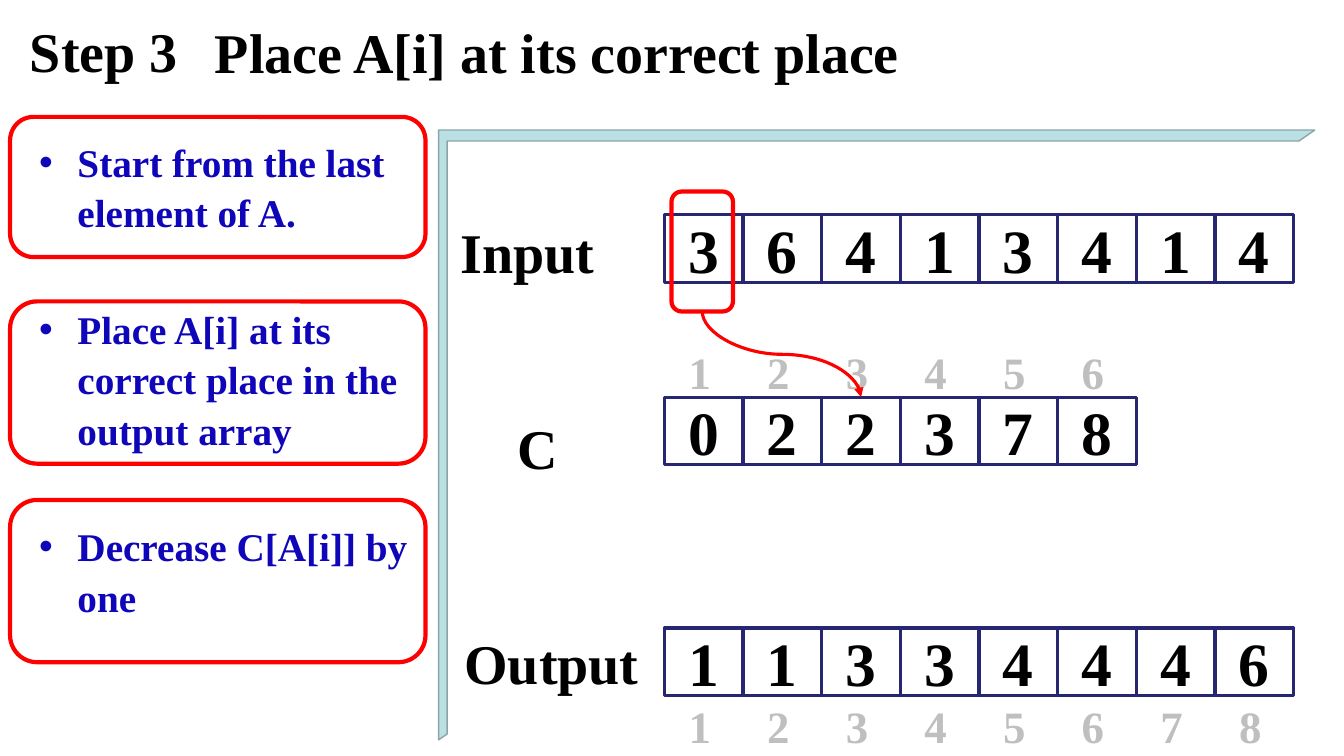
"""Build the counting sort slide on placing A[i] in the output array."""
from dataclasses import dataclass

from lxml.etree import SubElement
from pptx import Presentation
from pptx.dml.color import RGBColor
from pptx.enum.shapes import MSO_CONNECTOR as Connector, MSO_SHAPE as Preset
from pptx.enum.text import MSO_ANCHOR as Anchor, PP_ALIGN as Align
from pptx.oxml.ns import qn
from pptx.util import Inches, Pt

HEADINGS = [
    ("Step 3", 0.1, 0, 1.86),
    ("Place A[i] at its correct place", 1.97, 0.01, 7.11),
    ("Input", 4.3, 2, 1.86),
    ("C", 4.4, 3.94, 1.86),
    ("Output", 4.45, 6.07, 2.04),
]
STEPS = [
    "Start from the last element of A.",
    "Place A[i] at its correct place in the output array",
    "Decrease C[A[i]] by one",
]
STEP_FRAMES = [(1.16, 1.39), (2.99, 1.61), (4.96, 1.61)]
ARRAYS = {
    "Input": ([3, 6, 4, 1, 3, 4, 1, 4], 2.13, None),
    "C": ([0, 2, 2, 3, 7, 8], 3.94, 3.52),
    "Output": ([1, 1, 3, 3, 4, 4, 4, 6], 6.23, 7.03),
}
CELL_LEFT, INDEX_LEFT, PITCH = 6.59, 6.55, 0.78
CELL_HEIGHT, INDEX_HEIGHT, HEADING_HEIGHT = 0.67, 0.33, 0.99
CURRENT, TARGET = 0, 2


@dataclass(frozen=True)
class Theme:
    font: str = "Times New Roman"
    ink: str = "000000"
    paper: str = "FFFFFF"
    step: str = "0F06BA"
    index: str = "BFBFBF"
    border: str = "262673"
    accent: str = "FF0000"
    corner: str = "BBE0E3"
    corner_line: str = "8AA6A8"
    heading_size: int = 40
    cell_size: int = 44
    index_size: int = 32
    step_size: int = 28


THEME = Theme()


def rgb(value):
    return RGBColor.from_string(value)


def write(para, text, size, color):
    span = para.add_run()
    span.text = text
    font = span.font
    font.name, font.size, font.bold = THEME.font, Pt(size), True
    font.color.rgb = rgb(color)


def write_centred(box, text, size, color):
    frame = box.text_frame
    frame.word_wrap = True
    frame.vertical_anchor = Anchor.MIDDLE
    para = frame.paragraphs[0]
    para.alignment = Align.CENTER
    write(para, text, size, color)


def add_box(page, preset, place, fill=None, line=None, weight=1):
    box = page.shapes.add_shape(preset, *map(Inches, place))
    box.shadow.inherit = False
    if fill:
        box.fill.solid()
        box.fill.fore_color.rgb = rgb(fill)
    else:
        box.fill.background()
    if line:
        box.line.color.rgb = rgb(line)
        box.line.width = Pt(weight)
    else:
        box.line.fill.background()
    return box


def add_heading(page, text, left, top, width):
    box = page.shapes.add_textbox(*map(Inches, (left, top, width, HEADING_HEIGHT)))
    write_centred(box, text, THEME.heading_size, THEME.ink)


def add_steps(page):
    box = page.shapes.add_textbox(*map(Inches, (0.29, 1.29, 4.12, 5.55)))
    frame = box.text_frame
    frame.word_wrap = True
    for number, step in enumerate(STEPS):
        para = frame.add_paragraph() if number else frame.paragraphs[0]
        para.line_spacing = Pt(36)
        if number:
            para.space_before = Pt(47.2)
        props = para._p.get_or_add_pPr()
        props.set("marL", str(Inches(0.38)))
        props.set("indent", str(-Inches(0.38)))
        SubElement(props, qn("a:buFont"), typeface="Arial")
        SubElement(props, qn("a:buChar"), char="•")
        write(para, step, THEME.step_size, THEME.step)


def add_array(page, values, top, index_top):
    cells = []
    for number, value in enumerate(values):
        shift = number * PITCH
        if index_top:
            place = (INDEX_LEFT + shift, index_top, PITCH, INDEX_HEIGHT)
            label = add_box(page, Preset.RECTANGLE, place, THEME.paper)
            write_centred(label, str(number + 1), THEME.index_size, THEME.index)
        place = (CELL_LEFT + shift, top, PITCH, CELL_HEIGHT)
        cell = add_box(page, Preset.RECTANGLE, place, THEME.paper, THEME.border, 2.25)
        write_centred(cell, str(value), THEME.cell_size, THEME.ink)
        cells.append(cell)
    return cells


def add_curve(page, source, target):
    """Join the bottom of source to the top of target with a vertical S-curve."""
    curve = page.shapes.add_connector(Connector.CURVE, 0, 0, 0, 0)
    curve.begin_connect(source, 2)
    curve.end_connect(target, 0)
    across, down = curve.width, curve.height
    curve.left += (across - down) // 2
    curve.top += (down - across) // 2
    curve.width, curve.height = down, across
    props = curve._element.spPr
    frame = props.find(qn("a:xfrm"))
    frame.set("rot", str(270 * 60000))
    frame.set("flipH", "1")
    curve.line.color.rgb = rgb(THEME.accent)
    curve.line.width = Pt(2.25)
    SubElement(props.find(qn("a:ln")), qn("a:tailEnd"), type="triangle")
    SubElement(props, qn("a:effectLst"))


def main():
    deck = Presentation()
    deck.slide_width, deck.slide_height = Inches(13.33), Inches(7.5)
    page = deck.slides.add_slide(deck.slide_layouts[6])

    for heading in HEADINGS:
        add_heading(page, *heading)
    add_steps(page)

    corner = add_box(page, Preset.HALF_FRAME, (4.35, 1.29, 8.69, 6.05),
                     THEME.corner, THEME.corner_line)
    corner.adjustments[0], corner.adjustments[1] = 0.018, 0.014

    cells = {name: add_array(page, *array) for name, array in ARRAYS.items()}

    marker_left = CELL_LEFT + CURRENT * PITCH + 0.07
    marker = add_box(page, Preset.ROUNDED_RECTANGLE, (marker_left, 1.9, 0.61, 1.19),
                     line=THEME.accent, weight=3)
    add_curve(page, marker, cells["C"][TARGET])

    for top, height in STEP_FRAMES:
        add_box(page, Preset.ROUNDED_RECTANGLE, (0.1, top, 4.12, height),
                line=THEME.accent, weight=3)

    deck.save("out.pptx")


if __name__ == "__main__":
    main()
